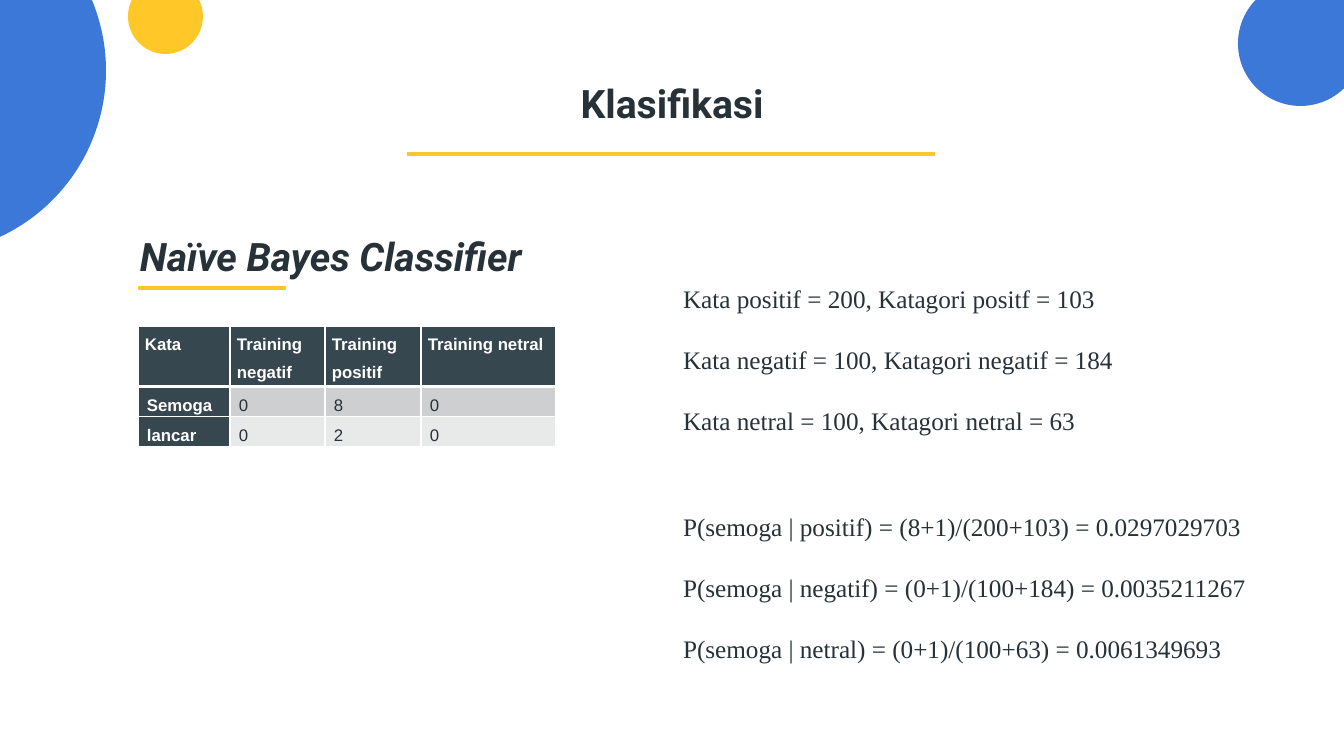
from dataclasses import dataclass

from pptx import Presentation
from pptx import util as u
from pptx.dml.color import RGBColor
from pptx.enum import shapes, text
from pptx.oxml import parse_xml
from pptx.oxml.ns import nsdecls

EMU_PER_PX = 12192000 / 1344
BLUE = RGBColor(0x3C, 0x78, 0xD8)
YELLOW = RGBColor(0xFF, 0xC7, 0x27)
INK = RGBColor(0x26, 0x32, 0x38)
SLATE = RGBColor(0x37, 0x47, 0x4F)
WHITE = RGBColor(0xFF, 0xFF, 0xFF)
BANDS = [RGBColor(0xCE, 0xCF, 0xD0), RGBColor(0xE8, 0xE9, 0xE9)]


@dataclass(frozen=True)
class Circle:
    left: int
    top: int
    diameter: int
    color: RGBColor


@dataclass(frozen=True)
class Rule:
    left: int
    right: int
    y: int


@dataclass(frozen=True)
class TextBlock:
    left: int
    top: int
    width: int
    height: int
    lines: list[str]
    inset: tuple[int, int]
    style: dict


HEADING = dict(font="Roboto", size=28, bold=True)
BODY = dict(font="Times New Roman", size=18, align=text.PP_ALIGN.JUSTIFY,
            margin=49, spacing=1.56, after=10)

CIRCLES = [
    Circle(-261, -113, 367, BLUE),
    Circle(128, -21, 75, YELLOW),
    Circle(1238, -19, 125, BLUE),
]
RULES = [Rule(407, 935, 154), Rule(138, 286, 288)]
TEXT_BLOCKS = [
    TextBlock(106, 66, 1132, 85, ["Klasifikasi"], (13, 13),
              HEADING | dict(align=text.PP_ALIGN.CENTER)),
    TextBlock(130, 222, 549, 59, ["Naïve Bayes Classifier"], (10, 10),
              HEADING | dict(italic=True)),
    TextBlock(624, 261, 672, 175, [
        "Kata positif = 200, Katagori positf = 103",
        "Kata negatif = 100, Katagori negatif = 184",
        "Kata netral = 100, Katagori netral = 63",
    ], (10, 5), BODY),
    TextBlock(624, 489, 672, 175, [
        "P(semoga | positif) = (8+1)/(200+103) = 0.0297029703",
        "P(semoga | negatif) = (0+1)/(100+184) = 0.0035211267",
        "P(semoga | netral) = (0+1)/(100+63) = 0.0061349693",
    ], (10, 5), BODY),
]
WORD_COUNTS = [
    ["Kata", "Training negatif", "Training positif", "Training netral"],
    ["Semoga", "0", "8", "0"],
    ["lancar", "0", "2", "0"],
]
COLUMN_WIDTHS = [92, 95, 96, 135]
ROW_HEIGHTS = [60, 30, 30]


def px(length: int) -> int:
    return round(length * EMU_PER_PX)


def write(frame, lines: list[str], *, font: str, size: int, color=INK, bold=False,
          italic=False, align=text.PP_ALIGN.LEFT, margin=0, spacing=1.0, after=0) -> None:
    frame.word_wrap = True
    for index, line in enumerate(lines):
        paragraph = frame.add_paragraph() if index else frame.paragraphs[0]
        paragraph.alignment = align
        paragraph.line_spacing = spacing
        paragraph.space_after = u.Pt(after)
        paragraph._p.get_or_add_pPr().set("marL", str(px(margin)))
        run = paragraph.add_run()
        run.text = line
        run.font.name = font
        run.font.size = u.Pt(size)
        run.font.bold = bold
        run.font.italic = italic
        run.font.color.rgb = color


def draw_circle(slide, circle: Circle) -> None:
    shape = slide.shapes.add_shape(
        shapes.MSO_SHAPE.OVAL, px(circle.left), px(circle.top),
        px(circle.diameter), px(circle.diameter))
    shape.shadow.inherit = False
    shape.fill.solid()
    shape.fill.fore_color.rgb = circle.color
    shape.line.fill.background()


def draw_rule(slide, rule: Rule) -> None:
    connector = slide.shapes.add_connector(
        shapes.MSO_CONNECTOR.STRAIGHT, px(rule.left), px(rule.y), px(rule.right), px(rule.y))
    connector.line.color.rgb = YELLOW
    connector.line.width = u.Pt(2.25)
    connector._element.spPr.append(parse_xml(f"<a:effectLst {nsdecls('a')}/>"))


def draw_text_block(slide, block: TextBlock) -> None:
    shape = slide.shapes.add_textbox(
        px(block.left), px(block.top), px(block.width), px(block.height))
    frame = shape.text_frame
    frame.margin_left = frame.margin_right = px(block.inset[0])
    frame.margin_top = frame.margin_bottom = px(block.inset[1])
    write(frame, block.lines, **block.style)


def set_borders(cell, bottom: int, top: int) -> None:
    properties = cell._tc.get_or_add_tcPr()
    widths = dict(lnL=1, lnR=1, lnT=top, lnB=bottom)
    for index, (side, width) in enumerate(widths.items()):
        properties.insert(index, parse_xml(
            f'<a:{side} {nsdecls("a")} w="{u.Pt(width)}"><a:solidFill>'
            f'<a:srgbClr val="{WHITE}"/></a:solidFill></a:{side}>'))


def draw_table(slide, left: int, top: int) -> None:
    table = slide.shapes.add_table(
        len(ROW_HEIGHTS), len(COLUMN_WIDTHS), px(left), px(top),
        px(sum(COLUMN_WIDTHS)), px(sum(ROW_HEIGHTS))).table
    for column, width in zip(table.columns, COLUMN_WIDTHS):
        column.width = px(width)
    for row, height in zip(table.rows, ROW_HEIGHTS):
        row.height = px(height)
    for row_index, values in enumerate(WORD_COUNTS):
        for column_index, value in enumerate(values):
            cell = table.cell(row_index, column_index)
            is_header = row_index == 0 or column_index == 0
            cell.margin_left = cell.margin_right = px(7)
            cell.margin_top = cell.margin_bottom = 0
            cell.fill.solid()
            cell.fill.fore_color.rgb = SLATE if is_header else BANDS[row_index - 1]
            set_borders(cell, bottom=3 if row_index == 0 else 1, top=3 if row_index == 1 else 1)
            write(cell.text_frame, [value], font="Arial", size=12, bold=is_header,
                  color=WHITE if is_header else INK, align=text.PP_ALIGN.JUSTIFY,
                  margin=2 if row_index else 0, spacing=1.5)


def main() -> None:
    presentation = Presentation()
    presentation.slide_width = px(1344)
    presentation.slide_height = px(756)
    slide = presentation.slides.add_slide(presentation.slide_layouts[6])
    for circle in CIRCLES:
        draw_circle(slide, circle)
    for rule in RULES:
        draw_rule(slide, rule)
    for block in TEXT_BLOCKS:
        draw_text_block(slide, block)
    draw_table(slide, 138, 326)
    presentation.save("out.pptx")


if __name__ == "__main__":
    main()
